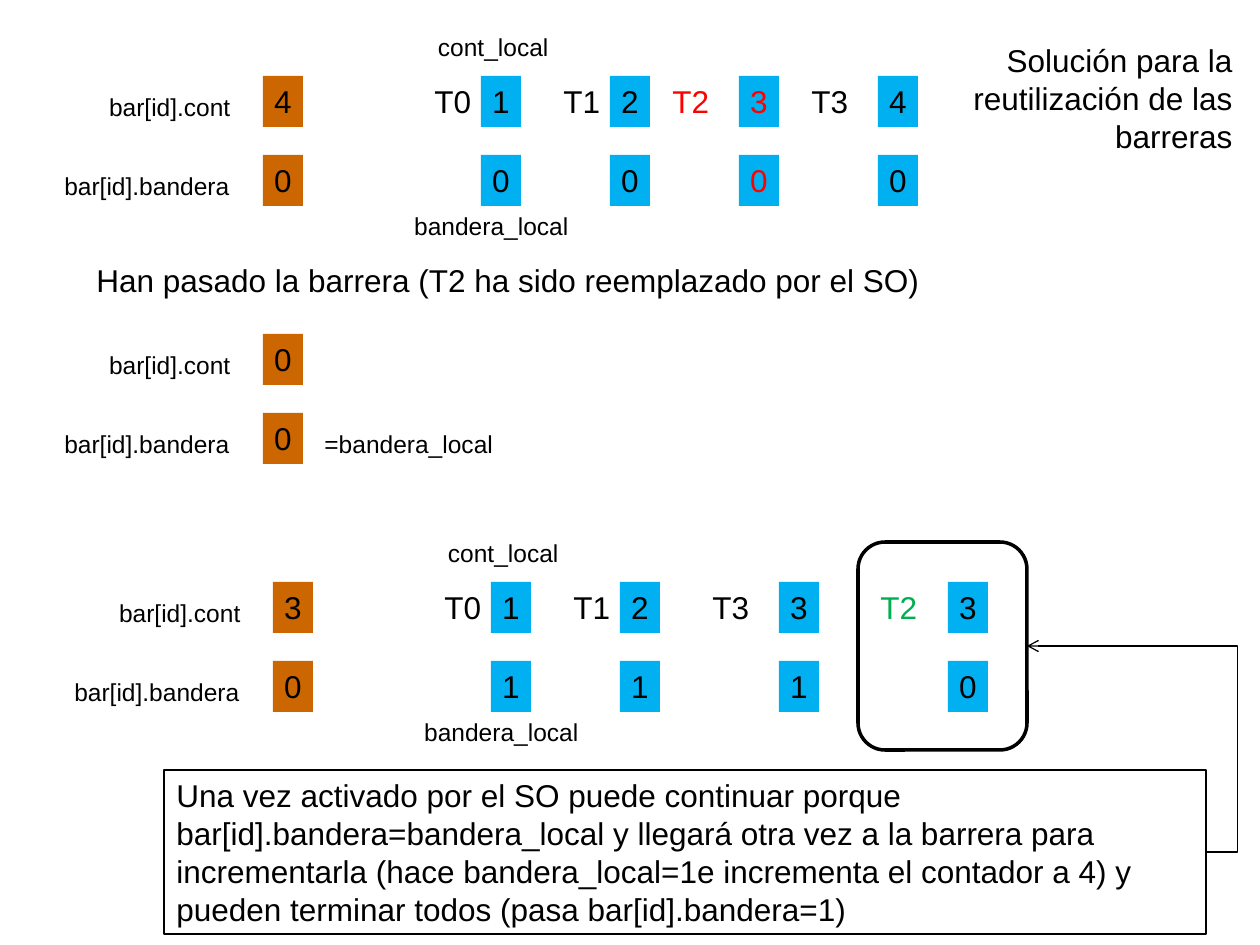
from lxml.etree import SubElement
from pptx import Presentation
from pptx.dml.color import RGBColor
from pptx.enum.shapes import MSO_CONNECTOR, MSO_SHAPE
from pptx.enum.text import MSO_ANCHOR, MSO_AUTO_SIZE, PP_ALIGN
from pptx.oxml.ns import qn
from pptx.util import Pt

PX = 914400 / 126
C = {"black": "000000", "red": "FF0000", "green": "00B050",
     "shared": "CC6600", "local": "00B0F0"}
LEFT, CENTER, RIGHT = PP_ALIGN.LEFT, PP_ALIGN.CENTER, PP_ALIGN.RIGHT


def write(sp, text, size=18, color="black", align=LEFT, wrap=True):
    tf = sp.text_frame
    tf.word_wrap = wrap
    tf.auto_size = MSO_AUTO_SIZE.NONE
    tf.vertical_anchor = MSO_ANCHOR.TOP
    p = tf.paragraphs[0]
    p.alignment = align
    r = p.add_run()
    r.text = text
    r.font.name = "Arial"
    r.font.size = Pt(size)
    r.font.color.rgb = RGBColor.from_string(C[color])


def add(kind, x, y, w, h, fill=None, line=None):
    box = [round(v * PX) for v in (x, y, w, h)]
    if kind is None:
        return s.shapes.add_textbox(*box)
    sp = s.shapes.add_shape(kind, *box)
    sp.shadow.inherit = False
    if fill:
        sp.fill.solid()
        sp.fill.fore_color.rgb = RGBColor.from_string(C[fill])
    else:
        sp.fill.background()
    if line:
        sp.line.width = Pt(line)
        sp.line.color.rgb = RGBColor.from_string(C["black"])
    else:
        sp.line.fill.background()
    return sp


prs = Presentation()
prs.slide_width, prs.slide_height = round(1260 * PX), round(945 * PX)
s = prs.slides.add_slide(prs.slide_layouts[5])

# Title
title = s.shapes.title
title.left, title.top, title.width, title.height = [
    round(v * PX) for v in (848, 35, 397, 126)]
write(title, "Solución para la reutilización de las barreras", align=RIGHT)

# Barrier states: offset, shared values, threads
# Each thread: name, label x, cell x, cont_local, bandera_local, label colour, digit colour
ROW = 79
states = [
    (0, 0, "4", "0", [("T0", 422, 481, "1", "0", "black", "black"),
                      ("T1", 551, 610, "2", "0", "black", "black"),
                      ("T2", 660, 739, "3", "0", "red", "red"),
                      ("T3", 799, 878, "4", "0", "black", "black")]),
    (0, 258, "0", "0", []),
    (10, 506, "3", "0", [("T0", 422, 481, "1", "1", "black", "black"),
                         ("T1", 551, 610, "2", "1", "black", "black"),
                         ("T3", 690, 769, "3", "1", "black", "black"),
                         ("T2", 858, 938, "3", "0", "green", "black")]),
]
for dx, dy, cont, flag, threads in states:
    # Names of the shared variables
    for row, (name, x, w) in enumerate([("bar[id].cont", 94, 149),
                                        ("bar[id].bandera", 34, 208)]):
        write(add(None, x + dx, 86 + dy + row * ROW, w, 43), name, 14, align=RIGHT)

    # Value cells, shared and per thread
    cells = [(263, cont, flag, "shared", "black")]
    cells += [(x, c, f, "local", ink) for _, _, x, c, f, _, ink in threads]
    for x, top, bottom, fill, ink in cells:
        for row, value in enumerate((top, bottom)):
            cell = add(MSO_SHAPE.RECTANGLE, x + dx, 76 + dy + row * ROW, 40, 51, fill)
            write(cell, value, color=ink, align=CENTER, wrap=False)

    # Thread names
    for name, x, _, _, _, color, _ in threads:
        write(add(None, x + dx, 76 + dy, 69, 51), name, color=color)

    # Names of the local variables
    if threads:
        write(add(None, 412 + dx, 26 + dy, 149, 43), "cont_local", 14, align=RIGHT)
        write(add(None, 392 + dx, 205 + dy, 189, 43), "bandera_local", 14, align=RIGHT)

# Comments
write(add(None, 84, 255, 1042, 51),
      "Han pasado la barrera (T2 ha sido reemplazado por el SO)")
write(add(None, 312, 423, 208, 43), "=bandera_local", 14)
note = add(MSO_SHAPE.RECTANGLE, 164, 770, 1042, 164, line=0.75)
write(note, "Una vez activado por el SO puede continuar porque "
            "bar[id].bandera=bandera_local y llegará otra vez a la barrera para "
            "incrementarla (hace bandera_local=1e incrementa el contador a 4) y "
            "pueden terminar todos (pasa bar[id].bandera=1)")

# Frame around T2
frame = add(MSO_SHAPE.ROUNDED_RECTANGLE, 858, 542, 169, 208, line=2)
frame.adjustments[0] = 0.16

# Elbow arrow from the note to the frame
arrow = s.shapes.add_connector(MSO_CONNECTOR.ELBOW, *[
    round(v * PX) for v in (1206, 852, 1027, 646)])
arrow.begin_connect(note, 3)
arrow.end_connect(frame, 3)
arrow.line.width = Pt(0.75)
arrow.line.color.rgb = RGBColor.from_string(C["black"])
spPr = arrow.element.spPr
SubElement(spPr.find(qn("a:prstGeom")).find(qn("a:avLst")), qn("a:gd"),
           name="adj1", fmla="val -17700")
SubElement(spPr.find(qn("a:ln")), qn("a:tailEnd"), type="arrow")
SubElement(spPr, qn("a:effectLst"))

prs.save("out.pptx")
